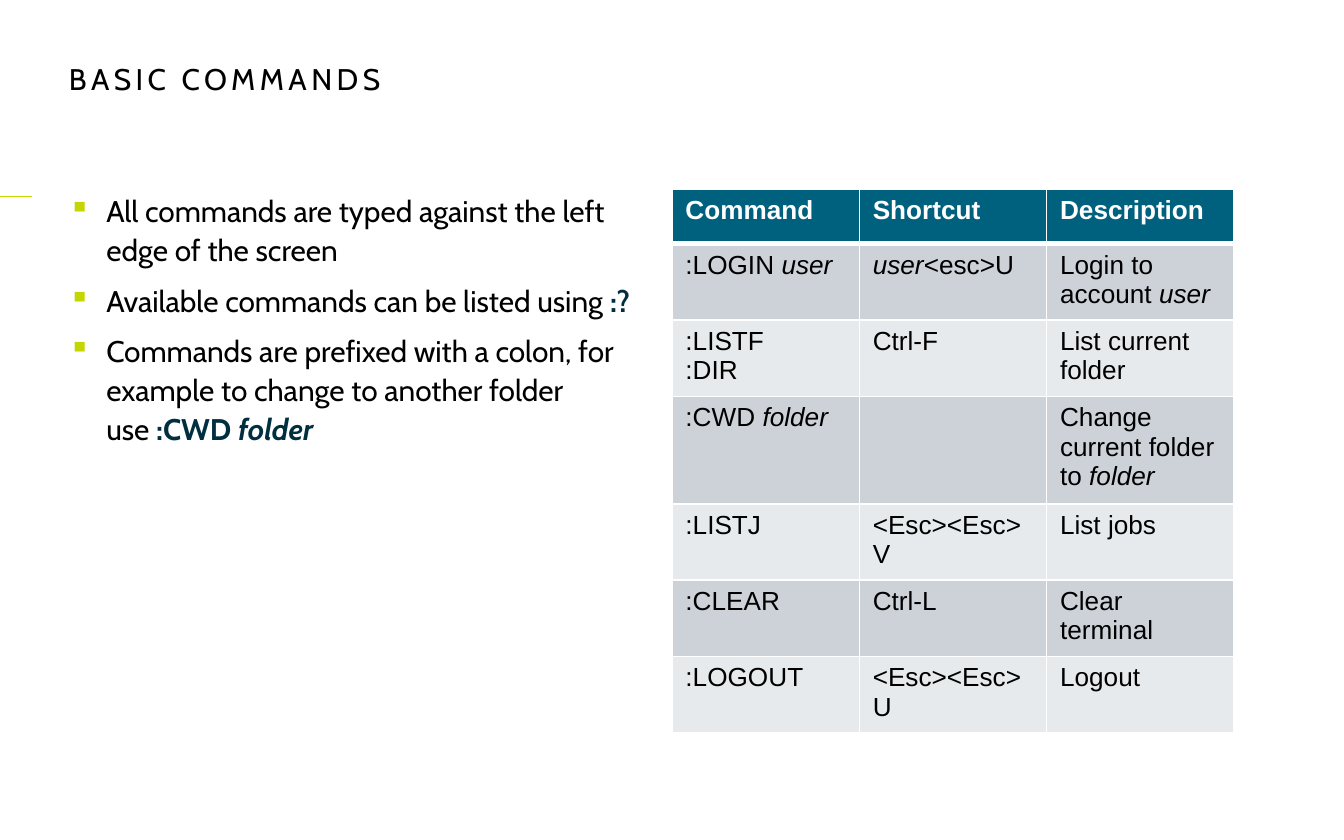
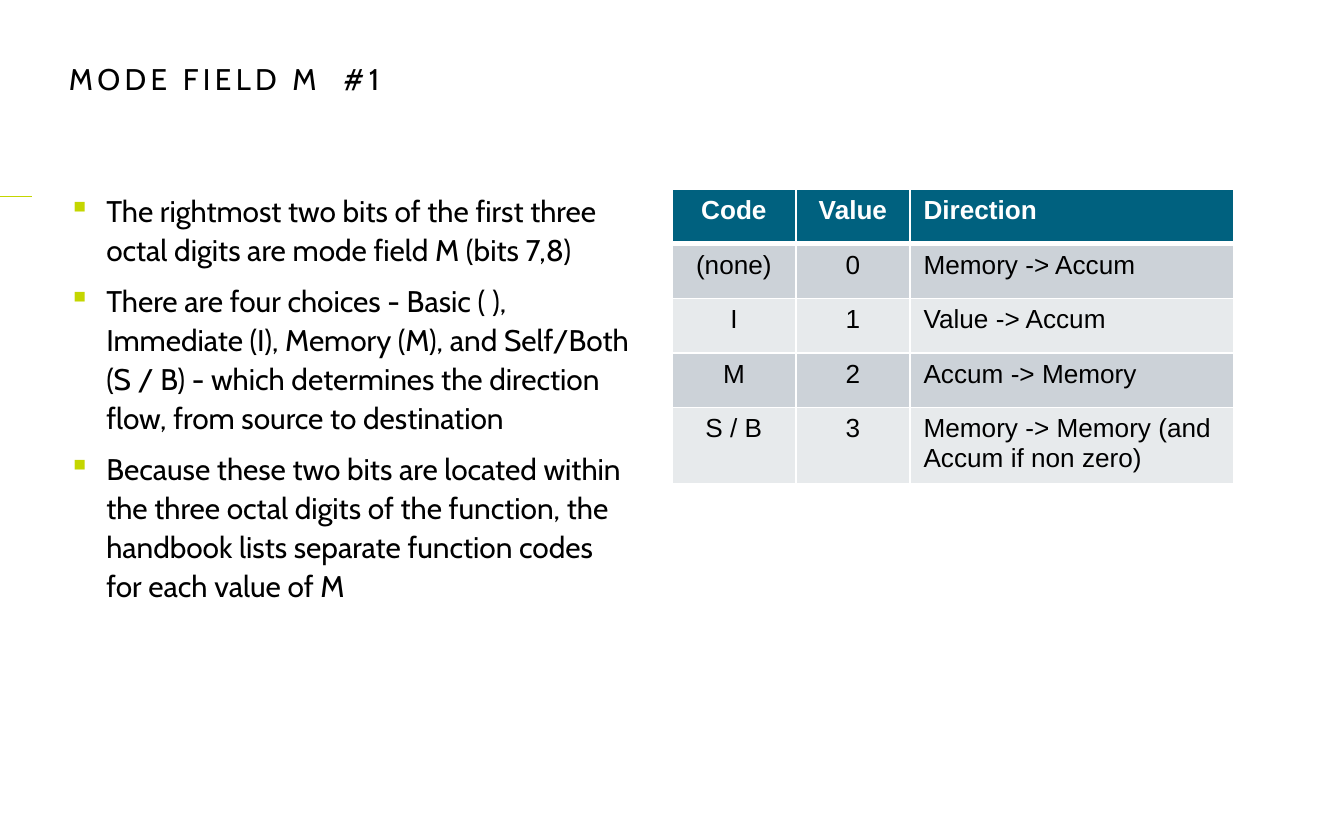
from dataclasses import dataclass

from lxml import etree
from pptx import Presentation, util as u
from pptx.dml import color
from pptx.enum import shapes, text
from pptx.oxml import ns

BLACK, WHITE = "000000", "FFFFFF"
LIME, NAVY, TEAL = "C4D600", "003040", "00617F"
BANDS = ("CCD2D8", "E7EAEC")
TITLE_FONT, TABLE_FONT = "Cabin", "Arial"
MARGIN, CONTENT_TOP, COLUMN_WIDTH = u.Cm(1.3), u.Cm(3.58), u.Cm(10.62)
ROW_HEIGHT = u.Cm(1.03)
LEFT, CENTER = text.PP_ALIGN.LEFT, text.PP_ALIGN.CENTER


@dataclass(frozen=True)
class Span:
    text: str
    bold: bool = False
    italic: bool = False
    colour: str = BLACK


@dataclass(frozen=True)
class Column:
    heading: str
    width: float
    align: text.PP_ALIGN = LEFT


@dataclass(frozen=True)
class Topic:
    title: str
    points: tuple
    columns: tuple[Column, ...]
    rows: tuple


def arg(word: str) -> Span:
    return Span(word, italic=True)


def command(word: str, italic: bool = False) -> Span:
    return Span(word, True, italic, NAVY)


TOPICS = (
    Topic(
        "BASIC COMMANDS",
        (
            "All commands are typed against the left edge of the screen",
            ("Available commands can be listed using ", command(":?")),
            ("Commands are prefixed with a colon, for example to change to another folder use ",
             command(":CWD "), command("folder", True)),
        ),
        tuple(Column(heading, 3.54) for heading in ("Command", "Shortcut", "Description")),
        (
            ((":LOGIN ", arg("user")), (arg("user"), "<esc>U"), ("Login to account ", arg("user"))),
            (":LISTF\n:DIR", "Ctrl-F", "List current folder"),
            ((":CWD ", arg("folder")), "", ("Change current folder to ", arg("folder"))),
            (":LISTJ", "<Esc><Esc>V", "List jobs"),
            (":CLEAR", "Ctrl-L", "Clear terminal"),
            (":LOGOUT", "<Esc><Esc>U", "Logout"),
        ),
    ),
    Topic(
        "MODE FIELD M  #1",
        (
            "The rightmost two bits of the first three octal digits are mode field M (bits 7,8)",
            "There are four choices - Basic ( ), Immediate (I), Memory (M), and Self/Both (S / B)"
            " - which determines the direction flow, from source to destination",
            "Because these two bits are located within the three octal digits of the function, "
            "the handbook lists separate function codes for each value of M",
        ),
        (Column("Code", 2.34, CENTER), Column("Value", 2.16, CENTER), Column("Direction", 6.12)),
        (
            ("(none)", "0", "Memory -> Accum"),
            ("I", "1", "Value -> Accum"),
            ("M", "2", "Accum -> Memory"),
            ("S / B", "3", "Memory -> Memory (and Accum if non zero)"),
        ),
    ),
)


def rgb(value: str) -> color.RGBColor:
    return color.RGBColor.from_string(value)


def style_run(run, span: Span, font: str, size: float) -> None:
    run.font.name = font
    run.font.size = u.Pt(size)
    run.font.bold = span.bold
    run.font.italic = span.italic
    run.font.color.rgb = rgb(span.colour)


def write(paragraph, content, font: str, size: float) -> None:
    parts = content if isinstance(content, tuple) else (content,)
    for part in parts:
        span = part if isinstance(part, Span) else Span(part)
        run = paragraph.add_run()
        run.text = span.text
        style_run(run, span, font, size)


def clear_insets(frame) -> None:
    frame.margin_left = frame.margin_top = frame.margin_right = frame.margin_bottom = 0
    frame.vertical_anchor = text.MSO_ANCHOR.TOP
    frame.word_wrap = True


def add_bullet(paragraph) -> None:
    indent = u.Cm(0.71)
    props = paragraph._p.get_or_add_pPr()
    props.set("marL", str(indent))
    props.set("indent", str(-indent))
    bullet_colour = etree.SubElement(props, ns.qn("a:buClr"))
    etree.SubElement(bullet_colour, ns.qn("a:srgbClr"), val=LIME)
    etree.SubElement(props, ns.qn("a:buChar"), char="▪")


def add_margin_rule(slide) -> None:
    y = u.Cm(3.71)
    rule = slide.shapes.add_connector(shapes.MSO_CONNECTOR.STRAIGHT, u.Cm(-0.3), y, u.Cm(0.61), y)
    rule.line.color.rgb = rgb(LIME)
    rule.line.width = u.Pt(0.5)
    etree.SubElement(rule._element.spPr, ns.qn("a:effectLst"))


def set_title(slide, wording: str) -> None:
    title = slide.shapes.title
    title.left, title.top, title.width, title.height = MARGIN, u.Cm(1.14), u.Cm(15.19), u.Cm(0.69)
    frame = title.text_frame
    frame.text = wording
    clear_insets(frame)
    frame.auto_size = text.MSO_AUTO_SIZE.SHAPE_TO_FIT_TEXT
    paragraph = frame.paragraphs[0]
    paragraph.alignment = LEFT
    for run in paragraph.runs:
        style_run(run, Span(wording), TITLE_FONT, 16)
        run.font._element.set("spc", "240")


def add_points(slide, points: tuple) -> None:
    frame = slide.shapes.add_textbox(MARGIN, CONTENT_TOP, COLUMN_WIDTH, u.Cm(10.36)).text_frame
    clear_insets(frame)
    for index, point in enumerate(points):
        paragraph = frame.add_paragraph() if index else frame.paragraphs[0]
        paragraph.line_spacing = u.Pt(21)
        paragraph.space_after = u.Pt(6)
        add_bullet(paragraph)
        write(paragraph, point, TITLE_FONT, 16)


def set_borders(cell, row: int) -> None:
    widths = {"lnL": 1, "lnR": 1, "lnT": 3 if row == 1 else 1, "lnB": 3 if row == 0 else 1}
    props = cell._tc.get_or_add_tcPr()
    for side, width in widths.items():
        border = etree.SubElement(props, ns.qn(f"a:{side}"), w=str(u.Pt(width)))
        fill = etree.SubElement(border, ns.qn("a:solidFill"))
        etree.SubElement(fill, ns.qn("a:srgbClr"), val=WHITE)


def fill_cell(cell, content, row: int, align: text.PP_ALIGN) -> None:
    set_borders(cell, row)
    cell.fill.solid()
    cell.fill.fore_color.rgb = rgb(BANDS[(row - 1) % 2] if row else TEAL)
    lines = content.split("\n") if isinstance(content, str) else [content]
    for index, line in enumerate(lines):
        frame = cell.text_frame
        paragraph = frame.add_paragraph() if index else frame.paragraphs[0]
        paragraph.alignment = align
        if line:
            write(paragraph, line, TABLE_FONT, 14)


def add_reference_table(slide, topic: Topic) -> None:
    headings = tuple(Span(column.heading, bold=True, colour=WHITE) for column in topic.columns)
    grid = (tuple((heading,) for heading in headings),) + topic.rows
    table = slide.shapes.add_table(len(grid), len(headings), u.Cm(12.7), CONTENT_TOP,
                                   COLUMN_WIDTH, ROW_HEIGHT * len(grid)).table
    for column, plan in zip(table.columns, topic.columns):
        column.width = u.Cm(plan.width)
    for row, contents in enumerate(grid):
        table.rows[row].height = ROW_HEIGHT
        for index, content in enumerate(contents):
            fill_cell(table.cell(row, index), content, row, topic.columns[index].align)


def main() -> None:
    deck = Presentation()
    deck.slide_width, deck.slide_height = u.Cm(25.4), u.Cm(15.88)
    title_only = deck.slide_layouts[5]
    for topic in TOPICS:
        slide = deck.slides.add_slide(title_only)
        add_margin_rule(slide)
        set_title(slide, topic.title)
        add_points(slide, topic.points)
        add_reference_table(slide, topic)
    deck.save("out.pptx")


if __name__ == "__main__":
    main()
